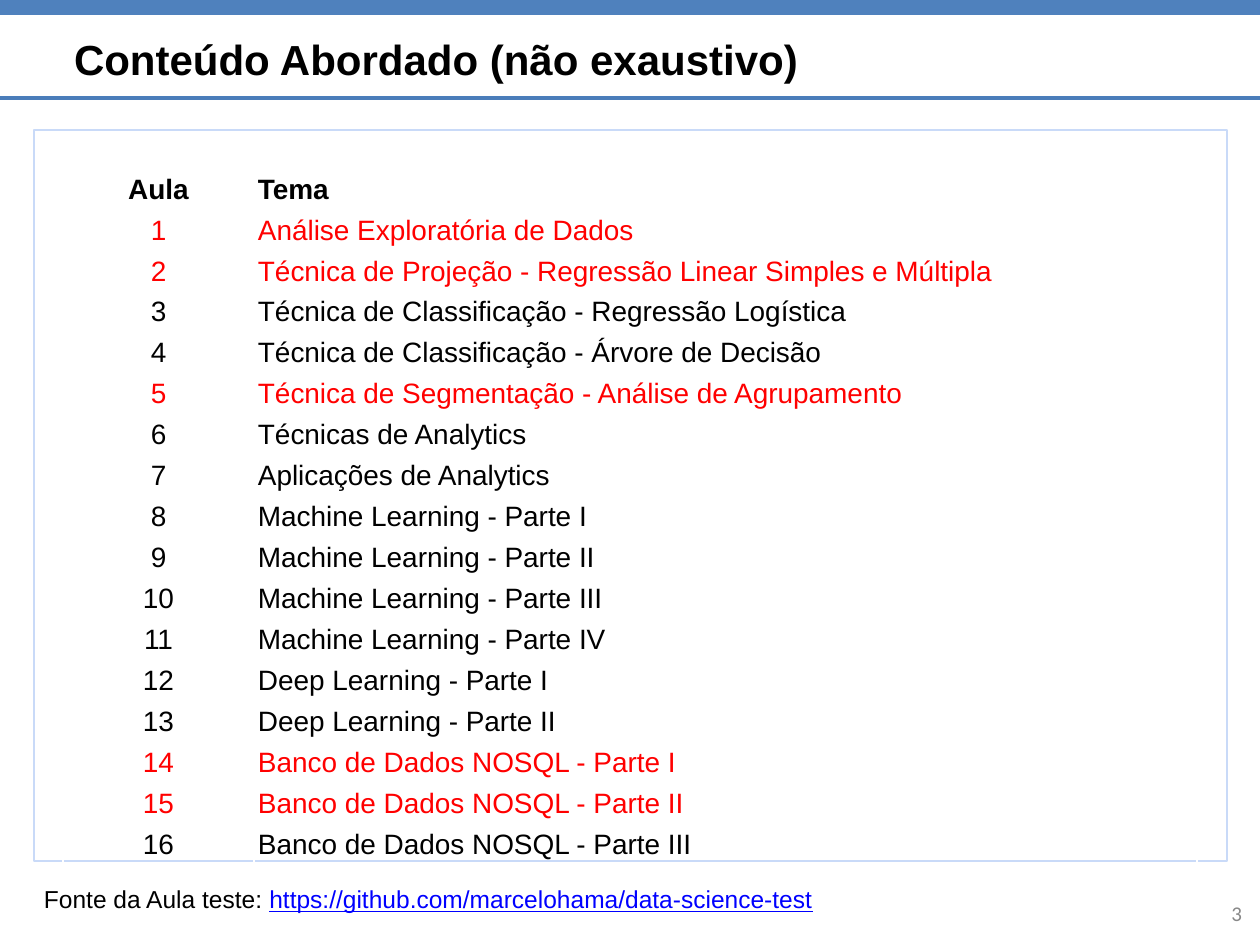
"""Build the course contents slide with its table of lessons."""
from pptx import Presentation
from pptx.dml.color import RGBColor
from pptx.enum.shapes import MSO_CONNECTOR as Connector, MSO_SHAPE as Shape
from pptx.enum.text import MSO_ANCHOR as Anchor, MSO_AUTO_SIZE as AutoSize, PP_ALIGN as Align
from pptx.oxml.ns import qn
from pptx.util import Emu, Pt
from lxml.etree import SubElement

THEME = {
    "bar": RGBColor.from_string("4F81BD"),
    "rule": RGBColor.from_string("4A7DBA"),
    "frame": RGBColor.from_string("C9DAF8"),
    "text": RGBColor.from_string("000000"),
    "highlight": RGBColor.from_string("FF0000"),
    "link": RGBColor.from_string("0000FF"),
    "number": RGBColor.from_string("888888"),
    "border": "FFFFFF",
    "font": "Arial",
    "number_font": "Calibri",
    "title_size": Pt(24),
    "table_size": Pt(16),
    "source_size": Pt(14),
    "number_size": Pt(12),
}
TOPICS = [
    "Análise Exploratória de Dados",
    "Técnica de Projeção - Regressão Linear Simples e Múltipla",
    "Técnica de Classificação - Regressão Logística",
    "Técnica de Classificação - Árvore de Decisão",
    "Técnica de Segmentação - Análise de Agrupamento",
    "Técnicas de Analytics",
    "Aplicações de Analytics",
    *[f"Machine Learning - Parte {part}" for part in ("I", "II", "III", "IV")],
    *[f"Deep Learning - Parte {part}" for part in ("I", "II")],
    *[f"Banco de Dados NOSQL - Parte {part}" for part in ("I", "II", "III")],
]
HIGHLIGHTED = {1, 2, 5, 14, 15}
SPACED_ROWS = 4
ROW_HEIGHT = 41


def px(*lengths):
    return [Emu(round(length * 914400 / 126)) for length in lengths]


def add_run(paragraph, text, size, color, name=THEME["font"], **extra):
    run = paragraph.add_run()
    run.text = text
    run.font.color.rgb = color
    for attribute, value in {"size": size, "name": name, **extra}.items():
        setattr(run.font, attribute, value)


presentation = Presentation()
presentation.slide_width, presentation.slide_height = px(1260, 945)
slide = presentation.slides.add_slide(presentation.slide_layouts[5])

bar = slide.shapes.add_shape(Shape.FLOWCHART_PROCESS, *px(0, 0, 1260, 15))
bar.shadow.inherit = False
bar.fill.solid()
bar.fill.fore_color.rgb = THEME["bar"]
bar.line.fill.background()

rule = slide.shapes.add_connector(Connector.STRAIGHT, *px(0, 98, 1260, 98))
rule.line.color.rgb = THEME["rule"]
rule.line.width = Pt(2.25)
SubElement(rule._element.spPr, qn("a:effectLst"))

frame = slide.shapes.add_shape(Shape.RECTANGLE, *px(34, 130, 1193, 731))
frame.shadow.inherit = False
frame.fill.background()
frame.line.color.rgb = THEME["frame"]
frame.line.width = Pt(0.75)

title = slide.shapes.title
title.left, title.top, title.width, title.height = px(61, 34, 1134, 63)
number = slide.shapes.add_textbox(*px(1154, 888, 101, 50))
source = slide.shapes.add_textbox(*px(31, 871, 1194, 55))
for shape, anchor, alignment, inset in (
    (title, Anchor.BOTTOM, Align.LEFT, 13),
    (number, Anchor.MIDDLE, Align.RIGHT, 6),
    (source, Anchor.TOP, Align.LEFT, 13),
):
    side, vertical = px(13, inset)
    text_format = {
        "word_wrap": True, "auto_size": AutoSize.NONE, "vertical_anchor": anchor,
        "margin_left": side, "margin_right": side,
        "margin_top": vertical, "margin_bottom": vertical,
    }
    for attribute, value in text_format.items():
        setattr(shape.text_frame, attribute, value)
    shape.text_frame.paragraphs[0].alignment = alignment

add_run(title.text_frame.paragraphs[0], "Conteúdo Abordado (não exaustivo)",
        THEME["title_size"], THEME["text"], bold=True)
add_run(number.text_frame.paragraphs[0], "3",
        THEME["number_size"], THEME["number"], THEME["number_font"])
source_paragraph = source.text_frame.paragraphs[0]
add_run(source_paragraph, "Fonte da Aula teste: ", THEME["source_size"], THEME["text"])
add_run(source_paragraph, "https://github.com/marcelohama/data-science-test",
        THEME["source_size"], THEME["link"], underline=True)

rows = [("Aula", "Tema"), *[(str(lesson), topic) for lesson, topic in enumerate(TOPICS, 1)]]
table = slide.shapes.add_table(
    len(rows), 2, *px(63, 166, 1134, ROW_HEIGHT * len(rows))).table
table.first_row = table.horz_banding = False
table.columns[0].width, table.columns[1].width = px(191, 943)
side, vertical = px(4, 2)
cell_format = {
    "vertical_anchor": Anchor.BOTTOM,
    "margin_left": side, "margin_right": side,
    "margin_top": vertical, "margin_bottom": vertical,
}
for row_index, row in enumerate(rows):
    table.rows[row_index].height = px(ROW_HEIGHT)[0]
    color = THEME["highlight" if row_index in HIGHLIGHTED else "text"]
    for column_index, text in enumerate(row):
        cell = table.cell(row_index, column_index)
        for attribute, value in cell_format.items():
            setattr(cell, attribute, value)
        for edge in ("a:lnL", "a:lnR", "a:lnT", "a:lnB"):
            border = SubElement(cell._tc.get_or_add_tcPr(), qn(edge), w=str(Pt(0.75)))
            fill = SubElement(border, qn("a:solidFill"))
            SubElement(fill, qn("a:srgbClr"), val=THEME["border"])
        cell.fill.background()
        paragraph = cell.text_frame.paragraphs[0]
        paragraph.alignment = Align.LEFT if column_index else Align.CENTER
        if column_index == 0 or row_index < SPACED_ROWS:
            paragraph.line_spacing = 1.15
        add_run(paragraph, text, THEME["table_size"], color, bold=row_index == 0)

presentation.save("out.pptx")
